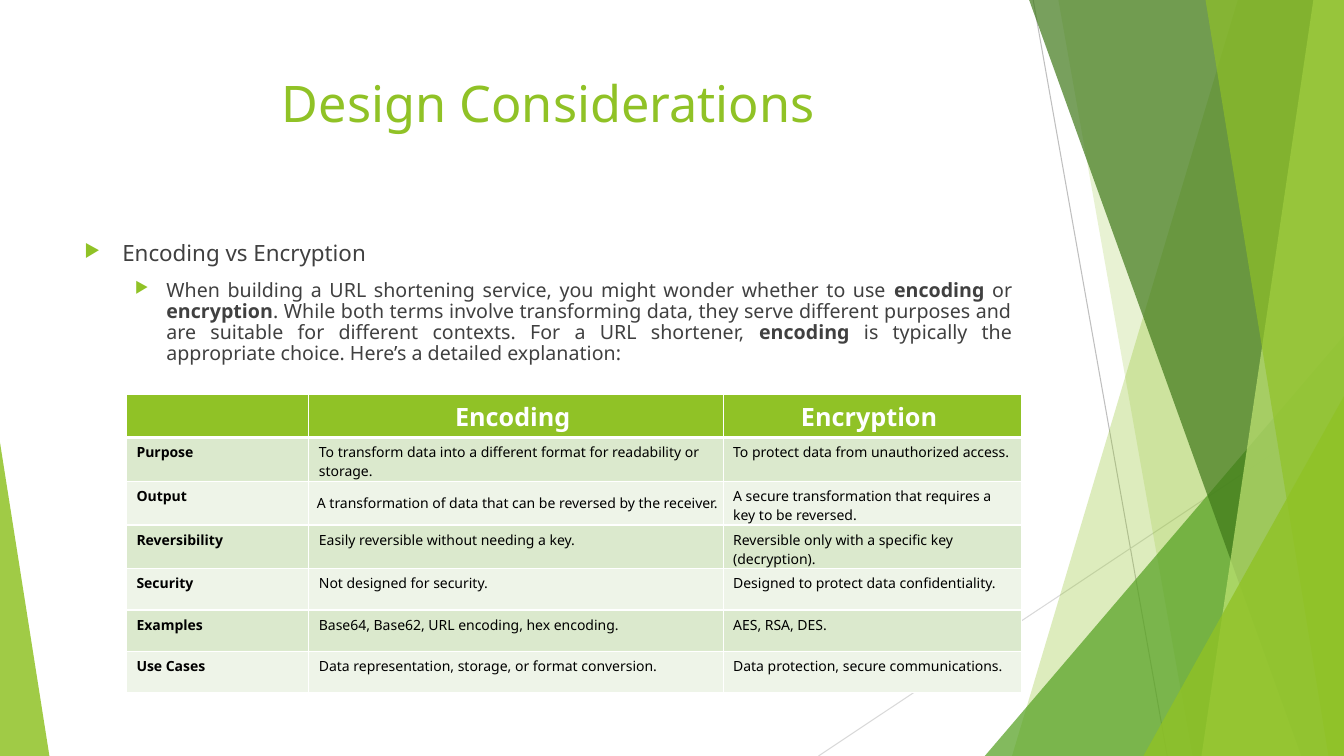
import dataclasses
import typing

import lxml.etree
import pptx
import pptx.dml.color
import pptx.enum.shapes
import pptx.enum.text
import pptx.oxml.ns
import pptx.slide
import pptx.util

Pt = pptx.util.Pt
qn = pptx.oxml.ns.qn
Align = pptx.enum.text.PP_ALIGN
Anchor = pptx.enum.text.MSO_ANCHOR


@dataclasses.dataclass(frozen=True)
class Theme:
    font: str = "Noto Sans"
    green: str = "90C226"
    text: str = "404040"
    black: str = "000000"
    white: str = "FFFFFF"
    bands: tuple[str, str] = ("DBE9CD", "EEF4E8")
    title_size: float = 36
    topic_size: float = 16
    detail_size: float = 14
    header_size: float = 18
    cell_size: float = 10


@dataclasses.dataclass(frozen=True)
class Ray:
    start: tuple[float, float]
    end: tuple[float, float]
    color: str


@dataclasses.dataclass(frozen=True)
class Panel:
    top_left: float
    bottom_left: float
    color: str
    opacity: int


@dataclasses.dataclass(frozen=True)
class Corner:
    left: float
    top: float
    width: float
    apex: float
    color: str
    opacity: int


@dataclasses.dataclass(frozen=True)
class Bullet:
    spans: tuple[str, ...]
    size: float
    level: int
    margin: float
    hanging: float
    align: typing.Any


THEME = Theme()
WIDTH, HEIGHT = 960, 540

RAYS = [
    Ray((738, 0), (833.76, HEIGHT), "BFBFBF"),
    Ray((WIDTH, 290.16), (584.64, HEIGHT), "D9D9D9"),
]
DECOR = [
    Panel(884.16, 722.88, "90C226", 30),
    Panel(756, 851.76, "90C226", 20),
    Corner(703.44, 239.76, 256.56, 1, "54A021", 72),
    Panel(735.12, 929.52, "3F7819", 70),
    Panel(938.16, 858.24, "C0E474", 70),
    Panel(861.12, 948.96, "90C226", 65),
    Corner(816.72, 282.96, 143.28, 1, "90C226", 80),
    Corner(0, 316.08, 35.28, 0, "90C226", 85),
]
# Spans alternate between regular and bold.
BULLETS = [
    Bullet(("Encoding vs Encryption",), THEME.topic_size, 0, 27, 27, Align.LEFT),
    Bullet((
        "When building a URL shortening service, you might wonder whether to use ",
        "encoding", " or ", "encryption",
        ". While both terms involve transforming data, they serve different purposes and "
        "are suitable for different contexts. For a URL shortener, ",
        "encoding",
        " is typically the appropriate choice. Here’s a detailed explanation:",
    ), THEME.detail_size, 1, 58.5, 22.5, Align.JUSTIFY),
]
COLUMNS = [130.32, 295.92, 213.12]
HEADER_HEIGHT, ROW_HEIGHT = 31, 29.5
ROWS = [
    ("", "Encoding ", "Encryption "),
    ("Purpose", "To transform data into a different format for readability or storage.",
     "To protect data from unauthorized access."),
    ("Output", "A transformation of data that can be reversed by the receiver.",
     "A secure transformation that requires a key to be reversed."),
    ("Reversibility", "Easily reversible without needing a key.",
     "Reversible only with a specific key (decryption)."),
    ("Security", "Not designed for security.", "Designed to protect data confidentiality."),
    ("Examples", "Base64, Base62, URL encoding, hex encoding.", "AES, RSA, DES."),
    ("Use Cases", "Data representation, storage, or format conversion.",
     "Data protection, secure communications."),
]


def rgb(color: str) -> pptx.dml.color.RGBColor:
    return pptx.dml.color.RGBColor.from_string(color)


def add_span(para: typing.Any, text: str, size: float, color: str, bold: bool = False) -> None:
    span = para.add_run()
    span.text = text
    span.font.name = THEME.font
    span.font.size = Pt(size)
    span.font.bold = bold
    span.font.color.rgb = rgb(color)


def add_ray(page: pptx.slide.Slide, ray: Ray) -> None:
    line = page.shapes.add_connector(
        pptx.enum.shapes.MSO_CONNECTOR.STRAIGHT, *map(Pt, ray.start + ray.end))
    line.line.color.rgb = rgb(ray.color)
    line.line.width = Pt(0.75)
    lxml.etree.SubElement(line._element.spPr, qn("a:effectLst"))


def add_decor(page: pptx.slide.Slide, item: Panel | Corner) -> None:
    if isinstance(item, Panel):
        builder = page.shapes.build_freeform(Pt(item.top_left), 0, scale=1.0)
        builder.add_line_segments([
            (Pt(WIDTH), 0), (Pt(WIDTH), Pt(HEIGHT)), (Pt(item.bottom_left), Pt(HEIGHT))])
        shape = builder.convert_to_shape()
    else:
        shape = page.shapes.add_shape(
            pptx.enum.shapes.MSO_SHAPE.ISOSCELES_TRIANGLE,
            Pt(item.left), Pt(item.top), Pt(item.width), Pt(HEIGHT - item.top))
        shape.adjustments[0] = item.apex
    shape.shadow.inherit = False
    shape.line.fill.background()
    shape.fill.solid()
    shape.fill.fore_color.rgb = rgb(item.color)
    color = shape._element.spPr.find(qn("a:solidFill"))[0]
    lxml.etree.SubElement(color, qn("a:alpha"), val=str(item.opacity * 1000))


def format_title(page: pptx.slide.Slide) -> None:
    title = page.shapes.title
    title.left, title.top, title.width, title.height = map(Pt, (53.28, 48.24, 676.8, 103.68))
    frame = title.text_frame
    frame.auto_size = pptx.enum.text.MSO_AUTO_SIZE.NONE
    frame.vertical_anchor = Anchor.TOP
    para = frame.paragraphs[0]
    para.alignment = Align.CENTER
    add_span(para, "Design Considerations", THEME.title_size, THEME.green)


def add_bullet(para: typing.Any, bullet: Bullet) -> None:
    para.level = bullet.level
    para.alignment = bullet.align
    para.line_spacing = 0.89
    para.space_before = Pt(10 if bullet.level else 0)
    props = para._p.get_or_add_pPr()
    props.set("marL", str(Pt(bullet.margin)))
    props.set("indent", str(-Pt(bullet.hanging)))
    color = lxml.etree.SubElement(props, qn("a:buClr"))
    lxml.etree.SubElement(color, qn("a:srgbClr"), val=THEME.green)
    lxml.etree.SubElement(props, qn("a:buSzPct"), val="80000")
    lxml.etree.SubElement(props, qn("a:buChar"), char="▶")
    for index, text in enumerate(bullet.spans):
        add_span(para, text, bullet.size, THEME.text, bold=index % 2 == 1)


def add_body(page: pptx.slide.Slide) -> None:
    box = page.shapes.add_textbox(*map(Pt, (53.28, 169.92, 676.8, 305.28)))
    frame = box.text_frame
    frame.word_wrap = True
    for index, bullet in enumerate(BULLETS):
        add_bullet(frame.add_paragraph() if index else frame.paragraphs[0], bullet)


def format_cell(cell: typing.Any, text: str, row: int, column: int) -> None:
    header = row == 0
    props = cell._tc.get_or_add_tcPr()
    for side in "LRTB":
        thick = (header and side == "B") or (row == 1 and side == "T")
        border = lxml.etree.SubElement(props, qn(f"a:ln{side}"), w=str(Pt(3 if thick else 1)))
        fill = lxml.etree.SubElement(border, qn("a:solidFill"))
        lxml.etree.SubElement(fill, qn("a:srgbClr"), val=THEME.white)
    cell.fill.solid()
    cell.fill.fore_color.rgb = rgb(THEME.green if header else THEME.bands[(row - 1) % 2])
    if text:
        para = cell.text_frame.paragraphs[0]
        para.alignment = Align.CENTER if header else Align.LEFT
        add_span(para, text, THEME.header_size if header else THEME.cell_size,
                 THEME.white if header else THEME.black, bold=header or column == 0)


def add_comparison(page: pptx.slide.Slide) -> None:
    height = HEADER_HEIGHT + ROW_HEIGHT * (len(ROWS) - 1)
    table = page.shapes.add_table(
        len(ROWS), len(COLUMNS), Pt(90.3), Pt(281.5), Pt(sum(COLUMNS)), Pt(height)).table
    table.horz_banding = False
    for column, width in zip(table.columns, COLUMNS):
        column.width = Pt(width)
    for row, texts in enumerate(ROWS):
        table.rows[row].height = Pt(ROW_HEIGHT if row else HEADER_HEIGHT)
        for column, text in enumerate(texts):
            format_cell(table.cell(row, column), text, row, column)
    output = table.cell(2, 1)
    output.vertical_anchor = Anchor.MIDDLE
    output.margin_left = Pt(5.8)
    output.margin_right = output.margin_top = output.margin_bottom = Pt(0.72)


def main() -> None:
    deck = pptx.Presentation()
    deck.slide_width, deck.slide_height = Pt(WIDTH), Pt(HEIGHT)
    page = deck.slides.add_slide(deck.slide_layouts[5])
    for ray in RAYS:
        add_ray(page, ray)
    for item in DECOR:
        add_decor(page, item)
    format_title(page)
    add_body(page)
    add_comparison(page)
    deck.save("out.pptx")


if __name__ == "__main__":
    main()
